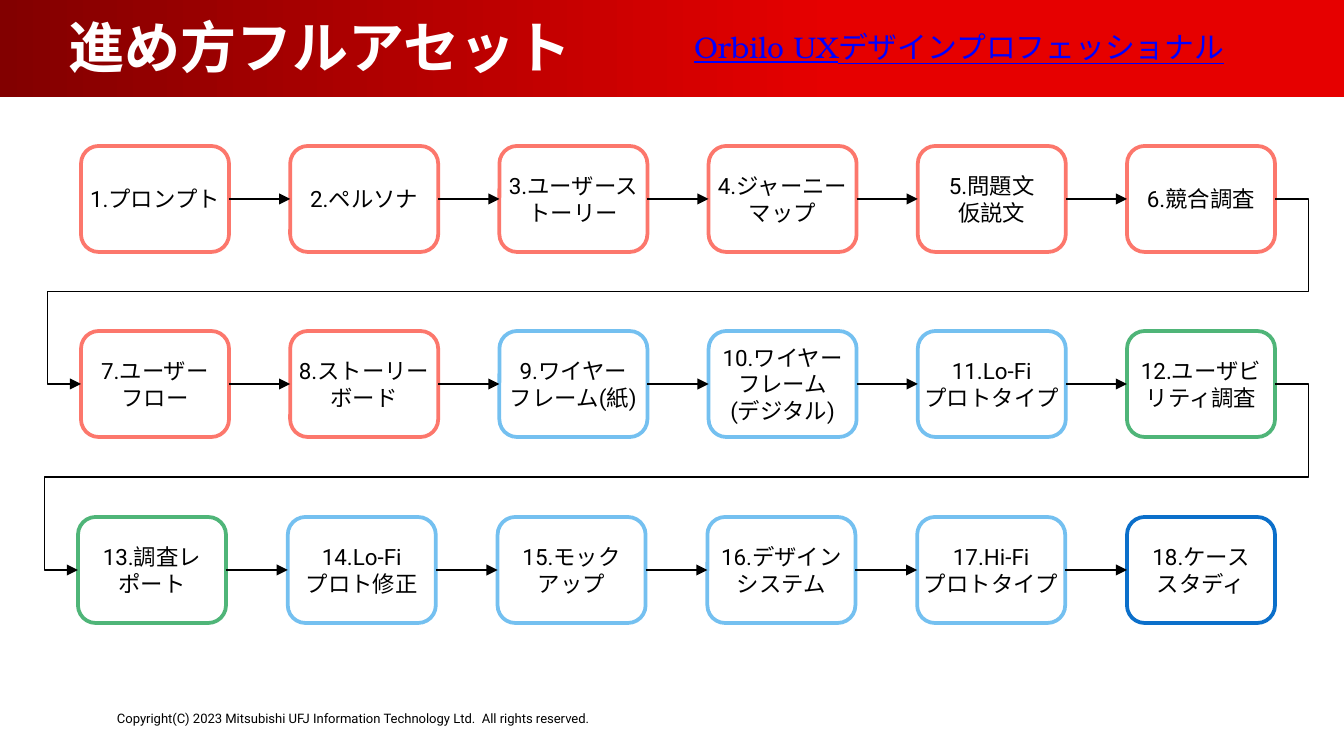
from lxml.etree import SubElement
from pptx import Presentation
from pptx.dml.color import RGBColor
from pptx.enum.shapes import MSO_CONNECTOR, MSO_SHAPE
from pptx.enum.text import MSO_ANCHOR, PP_ALIGN
from pptx.oxml.ns import qn
from pptx.util import Pt

BLACK = RGBColor(0x00, 0x00, 0x00)
WHITE = RGBColor(0xFF, 0xFF, 0xFF)
DARK_RED = RGBColor(0x82, 0x00, 0x00)
RED = RGBColor(0xE6, 0x00, 0x00)
LINK_BLUE = RGBColor(0x00, 0x00, 0xFF)
CORAL = RGBColor(0xFC, 0x77, 0x6C)
SKY = RGBColor(0x74, 0xC0, 0xF0)
GREEN = RGBColor(0x4F, 0xB5, 0x78)
BLUE = RGBColor(0x0B, 0x6F, 0xCA)

TITLE = "進め方フルアセット"
COURSE = "Orbilo UXデザインプロフェッショナル"
COPYRIGHT = "Copyright(C) 2023 Mitsubishi UFJ Information Technology Ltd.  All rights reserved."
ROWS = [
    (81, 146, [
        ("1.プロンプト", CORAL),
        ("2.ペルソナ", CORAL),
        ("3.ユーザーストーリー", CORAL),
        ("4.ジャーニーマップ", CORAL),
        ("5.問題文\n仮説文", CORAL),
        ("6.競合調査", CORAL),
    ]),
    (81, 331, [
        ("7.ユーザー\nフロー", CORAL),
        ("8.ストーリーボード", CORAL),
        ("9.ワイヤー\nフレーム(紙)", SKY),
        ("10.ワイヤー\nフレーム\n(デジタル)", SKY),
        ("11.Lo-Fi\nプロトタイプ", SKY),
        ("12.ユーザビリティ調査", GREEN),
    ]),
    (78, 517, [
        ("13.調査レポート", GREEN),
        ("14.Lo-Fi\nプロト修正", SKY),
        ("15.モックアップ", SKY),
        ("16.デザインシステム", SKY),
        ("17.Hi-Fi\nプロトタイプ", SKY),
        ("18.ケース\nスタディ", BLUE),
    ]),
]
LAST_LEFT = 1127
BOX_WIDTH, BOX_HEIGHT = 148, 106
DETOUR = 0.028


def px(value):
    return round(value * 914400 / 134.4)


def write(shape, text, size, color, font="Roboto", anchor=MSO_ANCHOR.TOP,
          align=PP_ALIGN.LEFT, bold=False, underline=False):
    frame = shape.text_frame
    frame.text = text
    frame.word_wrap = True
    frame.vertical_anchor = anchor
    frame.margin_left = frame.margin_right = frame.margin_top = frame.margin_bottom = 0
    for paragraph in frame.paragraphs:
        paragraph.alignment = align
        for run in paragraph.runs:
            run.font.name = font
            run.font.size = Pt(size)
            run.font.color.rgb = color
            run.font.bold = bold
            run.font.underline = underline


def add_text(slide, left, top, width, height, *args, **options):
    box = slide.shapes.add_textbox(px(left), px(top), px(width), px(height))
    write(box, *args, **options)


def add_header(slide):
    header = slide.shapes.add_shape(MSO_SHAPE.RECTANGLE, 0, 0, px(1344), px(97))
    header.shadow.inherit = False
    header.line.fill.background()
    header.fill.gradient()
    header.fill.gradient_angle = 0
    for stop, color, position in zip(header.fill.gradient_stops, (DARK_RED, RED), (0, 0.62)):
        stop.color.rgb = color
        stop.position = position


def add_step(slide, left, top, text, color):
    step = slide.shapes.add_shape(
        MSO_SHAPE.ROUNDED_RECTANGLE, px(left), px(top), px(BOX_WIDTH), px(BOX_HEIGHT))
    step.shadow.inherit = False
    step.fill.solid()
    step.fill.fore_color.rgb = WHITE
    step.line.color.rgb = color
    step.line.width = Pt(2)
    write(step, text, 12, BLACK, anchor=MSO_ANCHOR.MIDDLE, align=PP_ALIGN.CENTER)
    return step


def add_arrow(slide, kind, start, end):
    arrow = slide.shapes.add_connector(
        kind, start.left + start.width, start.top + start.height // 2,
        end.left, end.top + end.height // 2)
    arrow.line.color.rgb = BLACK
    arrow.line.width = Pt(0.75)
    SubElement(arrow.line._get_or_add_ln(), qn("a:tailEnd"), type="triangle")
    SubElement(arrow._element.spPr, qn("a:effectLst"))
    return arrow


def add_row_return(slide, start, end):
    arrow = add_arrow(slide, MSO_CONNECTOR.ELBOW, start, end)
    geometry = arrow._element.spPr.find(qn("a:prstGeom"))
    geometry.set("prst", "bentConnector5")
    guides = geometry.get_or_add_avLst()
    for number, share in enumerate((-DETOUR, 0.5, 1 + DETOUR), 1):
        SubElement(guides, qn("a:gd"), name=f"adj{number}", fmla=f"val {round(share * 100000)}")


def main():
    presentation = Presentation()
    presentation.slide_width, presentation.slide_height = px(1344), px(756)
    slide = presentation.slides.add_slide(presentation.slide_layouts[6])

    add_header(slide)
    add_text(slide, 117, 711, 757, 16, COPYRIGHT, 7, BLACK)
    add_text(slide, 69, 13, 530, 67, TITLE, 30, WHITE, anchor=MSO_ANCHOR.BOTTOM, bold=True)
    add_text(slide, 694, 29, 620, 43, COURSE, 16, LINK_BLUE,
             font="TeX Gyre Bonum", underline=True)

    previous_row = None
    for first_left, top, steps in ROWS:
        pitch = (LAST_LEFT - first_left) / (len(steps) - 1)
        row = [add_step(slide, first_left + pitch * column, top, text, color)
               for column, (text, color) in enumerate(steps)]
        for start, end in zip(row, row[1:]):
            arrow = add_arrow(slide, MSO_CONNECTOR.STRAIGHT, start, end)
            arrow.begin_connect(start, 3)
            arrow.end_connect(end, 1)
        if previous_row:
            add_row_return(slide, previous_row[-1], row[0])
        previous_row = row

    presentation.save("out.pptx")


if __name__ == "__main__":
    main()
